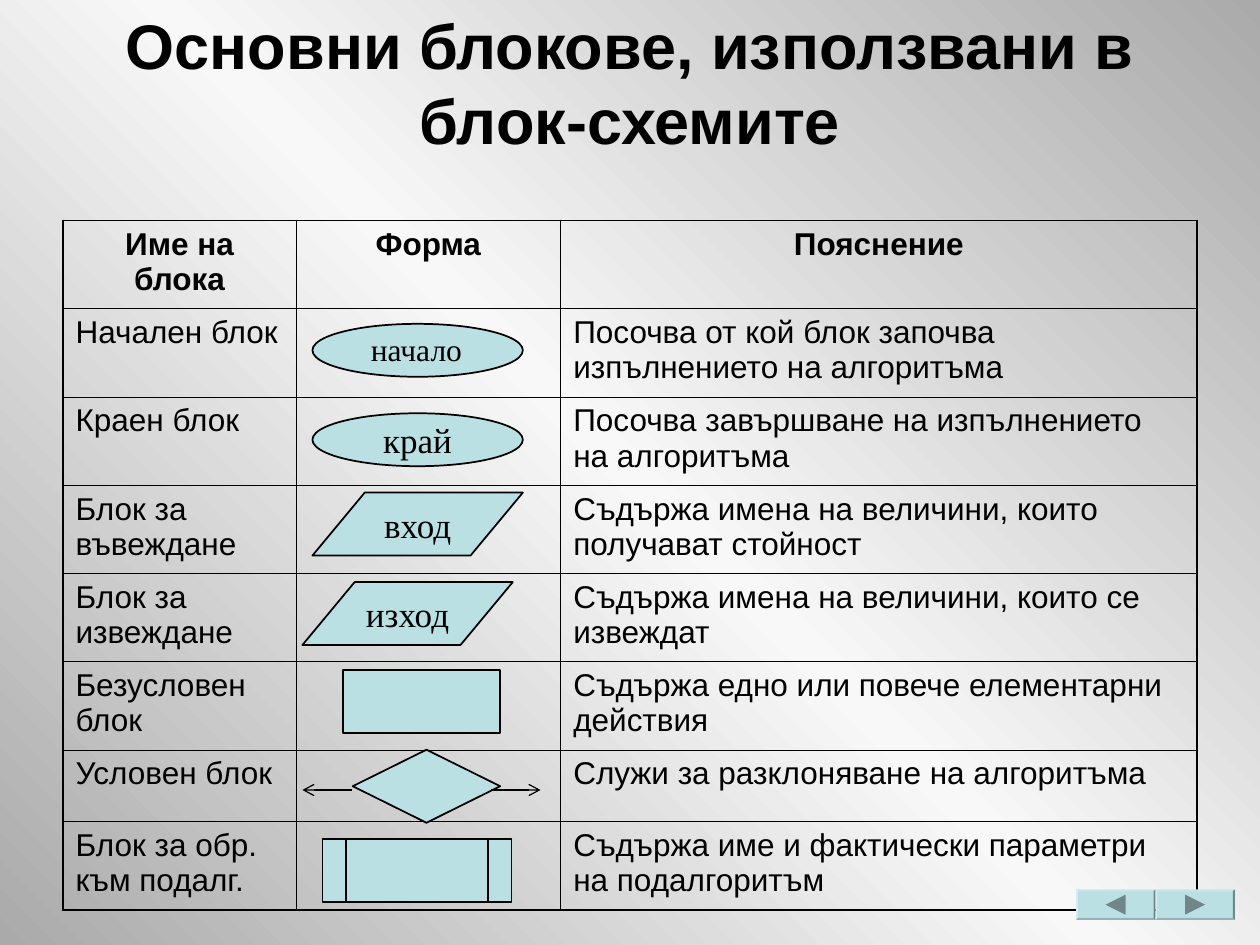
from copy import deepcopy

from lxml.etree import SubElement
from pptx import Presentation
from pptx.dml.color import RGBColor
from pptx.enum.shapes import MSO_CONNECTOR, MSO_SHAPE as Kind
from pptx.enum.text import MSO_ANCHOR as Anchor, PP_ALIGN as Align
from pptx.oxml.ns import qn
from pptx.util import Inches, Pt

SANS, SERIF = "Arial", "Times New Roman"
BLACK, AQUA, GREY = "000000", "BBE0E3", "708688"
GRADIENT = [(0, "AAAAAA"), (0.5, "F8F8F8"), (1, "AAAAAA")]

TITLE = "Основни блокове, използвани в блок-схемите"
HEADER = ("Име на блока", "Форма", "Пояснение")
BLOCKS = [
    ("Начален блок", "Посочва от кой блок започва изпълнението на алгоритъма"),
    ("Краен блок", "Посочва завършване на изпълнението на алгоритъма"),
    ("Блок за въвеждане", "Съдържа имена на величини, които получават стойност"),
    ("Блок за извеждане", "Съдържа имена на величини, които се извеждат"),
    ("Безусловен блок", "Съдържа едно или повече елементарни действия"),
    ("Условен блок", "Служи за разклоняване на алгоритъма"),
    ("Блок за обр. към подалг.", "Съдържа име и фактически параметри на подалгоритъм"),
]
LEFT, TOP = 0.5, 1.75
COLUMNS = (1.85, 2.1, 5.05)
ROWS = [0.7] * 6 + [0.57, 0.7]
THIN, THICK = 0.45, 1.08

# Table row, kind, offset in the cell (x, y), size, adjustment, label
SYMBOLS = [
    (1, Kind.OVAL, 0.13, 0.12, 1.67, 0.42, None, ""),
    (2, Kind.OVAL, 0.13, 0.13, 1.67, 0.42, None, "край"),
    (3, Kind.PARALLELOGRAM, 0.13, 0.06, 1.67, 0.5, 0.83, "вход"),
    (4, Kind.PARALLELOGRAM, 0.05, 0.07, 1.67, 0.5, 0.83, "изход"),
    (5, Kind.RECTANGLE, 0.37, 0.07, 1.25, 0.5, None, ""),
    (7, Kind.FLOWCHART_PREDEFINED_PROCESS, 0.21, 0.14, 1.5, 0.5, None, ""),
    (6, Kind.DIAMOND, 0.45, 0, 1.17, 0.58, None, ""),
]
BRANCHES = [(3.9, 4.29), (2.79, 2.4)]
BRANCH_Y = 6.27
BUTTONS = [(9.17, 90), (8.54, -90)]  # left edge, rotation of the triangle
BUTTON_Y, BUTTON_W, BUTTON_H = 7.06, 0.63, 0.24


def color(value):
    return RGBColor.from_string(value)


def write(frame, text, size, font, align, bold=False):
    paragraph = frame.paragraphs[0]
    paragraph.text = text
    paragraph.alignment = align
    paragraph.font.size, paragraph.font.name = Pt(size), font
    paragraph.font.bold = bold
    paragraph.font.color.rgb = color(BLACK)


def add_text(slide, box, text, size, font, anchor, bold=False):
    frame = slide.shapes.add_textbox(*map(Inches, box)).text_frame
    frame.word_wrap = True
    frame.vertical_anchor = anchor
    write(frame, text, size, font, Align.CENTER, bold)
    return frame


def add_shape(slide, kind, box, fill, line=None):
    shape = slide.shapes.add_shape(kind, *map(Inches, box))
    shape.shadow.inherit = False
    shape.fill.solid()
    shape.fill.fore_color.rgb = color(fill)
    if line:
        shape.line.color.rgb, shape.line.width = color(line), Pt(1)
    else:
        shape.line.fill.background()
    return shape


def add_borders(cell, widths):
    properties = cell._tc.get_or_add_tcPr()
    for position, (side, width) in enumerate(widths.items()):
        line = properties.makeelement(qn(f"a:ln{side}"), {"w": str(Pt(width))})
        fill = SubElement(line, qn("a:solidFill"))
        SubElement(fill, qn("a:srgbClr"), val=BLACK)
        properties.insert(position, line)


def add_arrow(slide, start, end, y):
    arrow = slide.shapes.add_connector(
        MSO_CONNECTOR.STRAIGHT, *map(Inches, (start, y, end, y)))
    arrow.line.color.rgb, arrow.line.width = color(BLACK), Pt(0.75)
    SubElement(arrow.line._get_or_add_ln(), qn("a:tailEnd"), type="arrow")
    SubElement(arrow._element.spPr, qn("a:effectLst"))


presentation = Presentation()
presentation.slide_width, presentation.slide_height = Inches(10), Inches(7.5)
slide = presentation.slides.add_slide(presentation.slide_layouts[6])

# Background: three-stop diagonal gradient
background = slide.background.fill
background.gradient()
background.gradient_angle = 45
stop_list = next(slide.element.iter(qn("a:gsLst")))
stop_list.append(deepcopy(stop_list[-1]))
for stop, (position, shade) in zip(background.gradient_stops, GRADIENT):
    stop.position = position
    stop.color.rgb = color(shade)

# Title, lifted by a deep bottom margin
title = add_text(slide, (0.5, 0.3, 9, 1.25), TITLE, 36, SANS, Anchor.MIDDLE, True)
title.margin_bottom = Inches(0.6)

# Table
table = slide.shapes.add_table(
    len(ROWS), len(COLUMNS),
    *map(Inches, (LEFT, TOP, sum(COLUMNS), sum(ROWS)))).table
table.first_row = table.horz_banding = False
for column, width in zip(table.columns, COLUMNS):
    column.width = Inches(width)
for row, height in zip(table.rows, ROWS):
    row.height = Inches(height)
contents = [HEADER] + [(name, "", meaning) for name, meaning in BLOCKS]
for r, texts in enumerate(contents):
    for c, text in enumerate(texts):
        cell = table.cell(r, c)
        cell.fill.background()
        header = r == 0
        write(cell.text_frame, text, 18, SANS,
              Align.CENTER if header else Align.LEFT, header)
        edges = {"L": c == 0, "R": c == len(COLUMNS) - 1,
                 "T": header, "B": r == len(ROWS) - 1}
        add_borders(cell, {side: THICK if outer else THIN
                           for side, outer in edges.items()})

# Flowchart symbols in the middle column
for row, kind, dx, dy, width, height, adjustment, label in SYMBOLS:
    x, y = LEFT + COLUMNS[0] + dx, TOP + sum(ROWS[:row]) + dy
    symbol = add_shape(slide, kind, (x, y, width, height), AQUA, BLACK)
    if adjustment:
        symbol.adjustments[0] = adjustment
    if label:
        symbol.text_frame.word_wrap = False
        symbol.text_frame.vertical_anchor = Anchor.MIDDLE
        write(symbol.text_frame, label, 20, SERIF, Align.CENTER)
add_text(slide, (2.48, 2.57, 1.65, 0.4), "начало", 18, SERIF, Anchor.TOP)
for start, end in BRANCHES:
    add_arrow(slide, start, end, BRANCH_Y)

# Navigation buttons
side = 0.16
for x, rotation in BUTTONS:
    button = add_shape(slide, Kind.BEVEL, (x, BUTTON_Y, BUTTON_W, BUTTON_H), AQUA)
    button.adjustments[0] = 0.06
    triangle = add_shape(
        slide, Kind.ISOSCELES_TRIANGLE,
        (x + (BUTTON_W - side) / 2, BUTTON_Y + (BUTTON_H - side) / 2, side, side), GREY)
    triangle.rotation = rotation

presentation.save("out.pptx")
